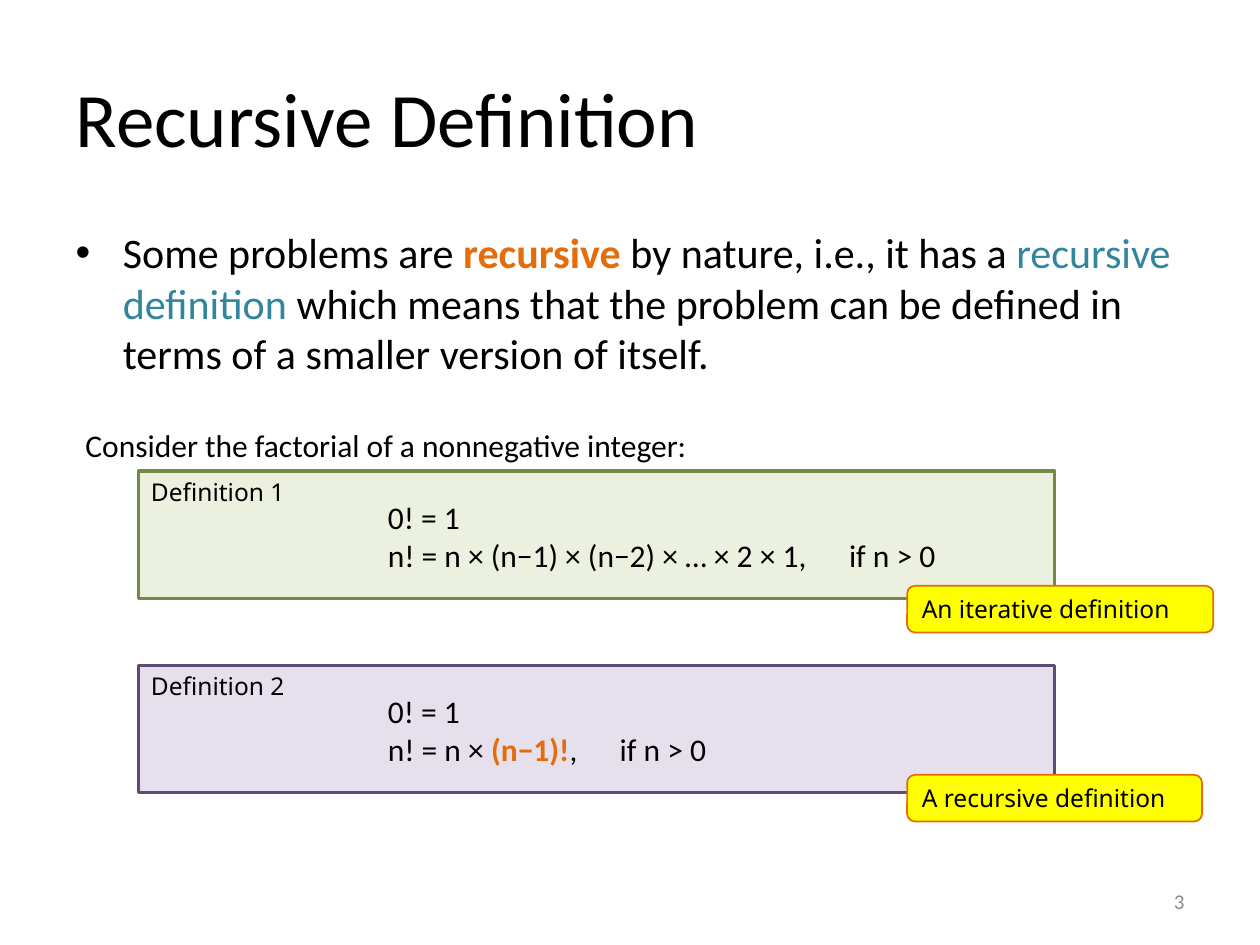
from lxml.etree import SubElement
from pptx import Presentation
from pptx.dml.color import RGBColor
from pptx.enum.shapes import MSO_SHAPE
from pptx.enum.text import MSO_ANCHOR, PP_ALIGN
from pptx.oxml.ns import qn
from pptx.util import Inches, Pt

BLACK, ORANGE, TEAL, GRAY, YELLOW = "000000", "E46C0A", "31859C", "8C8C8C", "FFFF00"


def rgb(color):
    return RGBColor.from_string(color)


def place(item, left, top, width, height):
    item.left, item.top = Inches(left), Inches(top)
    item.width, item.height = Inches(width), Inches(height)


def write(para, spans, size, name="Calibri", color=BLACK):
    """Fill a paragraph with plain strings or (text, color, bold) spans."""
    para.font.size, para.font.name = Pt(size), name
    para.alignment = PP_ALIGN.LEFT
    for span in spans:
        text, span_color, bold = (span, color, None) if isinstance(span, str) else span
        run = para.add_run()
        run.text = text
        run.font.color.rgb = rgb(span_color)
        run.font.bold = bold


def add_tab_stop(para, position):
    tabs = SubElement(para._p.get_or_add_pPr(), qn("a:tabLst"))
    SubElement(tabs, qn("a:tab"), pos=str(Inches(position)), algn="l")


def add_text(shapes, bounds, lines, size, color=BLACK):
    box = shapes.add_textbox(*map(Inches, bounds))
    frame = box.text_frame
    frame.word_wrap = True
    for index, spans in enumerate(lines):
        para = frame.add_paragraph() if index else frame.paragraphs[0]
        write(para, spans, size, color=color)
    return box


def add_panel(shapes, kind, bounds, text, fill, line, line_width):
    panel = shapes.add_shape(kind, *map(Inches, bounds))
    panel.shadow.inherit = False
    panel.fill.solid()
    panel.fill.fore_color.rgb = rgb(fill)
    panel.line.color.rgb = rgb(line)
    panel.line.width = Pt(line_width)
    panel.text_frame.vertical_anchor = MSO_ANCHOR.TOP
    write(panel.text_frame.paragraphs[0], [text], 14, "Noto Sans")


def add_definition(page, top, label, fill, line, formula, tab_position):
    """Add a labelled panel with its two formula lines as one group."""
    shapes = page.shapes.add_group_shape().shapes
    add_panel(shapes, MSO_SHAPE.RECTANGLE, (1.1, top, 7.27, 1.01), label, fill, line, 2)
    box = add_text(shapes, (2.98, top + 0.165, 4.71, 0.71), [["0! = 1"], formula], 18)
    add_tab_stop(box.text_frame.paragraphs[1], tab_position)


def add_callout(page, top, width, text):
    add_panel(page.shapes, MSO_SHAPE.ROUNDED_RECTANGLE, (7.2, top, width, 0.37),
              text, YELLOW, ORANGE, 1)


def fill_placeholders(page):
    title, body = page.shapes.title, page.placeholders[1]
    place(title, 0.5, 0.3, 9, 1.25)
    title.text_frame.vertical_anchor = MSO_ANCHOR.MIDDLE
    write(title.text_frame.paragraphs[0], ["Recursive Definition"], 44)
    place(body, 0.5, 1.75, 9, 4.95)
    write(body.text_frame.paragraphs[0], [
        "Some problems are ", ("recursive", ORANGE, True),
        " by nature, i.e., it has a ", ("recursive definition", TEAL, None),
        " which means that the problem can be defined in terms of"
        " a smaller version of itself.",
    ], 24)


def main():
    deck = Presentation()
    deck.slide_width, deck.slide_height = Inches(10), Inches(7.5)
    page = deck.slides.add_slide(deck.slide_layouts[1])
    fill_placeholders(page)
    add_text(page.shapes, (0.58, 3.33, 5.04, 0.4),
             [["Consider the factorial of a nonnegative integer:"]], 18)
    add_definition(page, 3.74, "Definition 1", "EBF1DE", "738A42",
                   ["n! = n × (n−1) × (n−2) × … × 2 × 1,\tif n > 0"], 3.66)
    add_definition(page, 5.28, "Definition 2", "E6E0EC", "5F4A78",
                   ["n! = n × ", ("(n−1)!", ORANGE, True), ",\tif n > 0"], 1.84)
    add_callout(page, 4.65, 2.43, "An iterative definition")
    add_callout(page, 6.15, 2.34, "A recursive definition")
    number = add_text(page.shapes, (7.17, 6.95, 2.33, 0.4), [["3"]], 12, GRAY)
    number.text_frame.vertical_anchor = MSO_ANCHOR.MIDDLE
    number.text_frame.paragraphs[0].alignment = PP_ALIGN.RIGHT
    deck.save("out.pptx")


if __name__ == "__main__":
    main()
